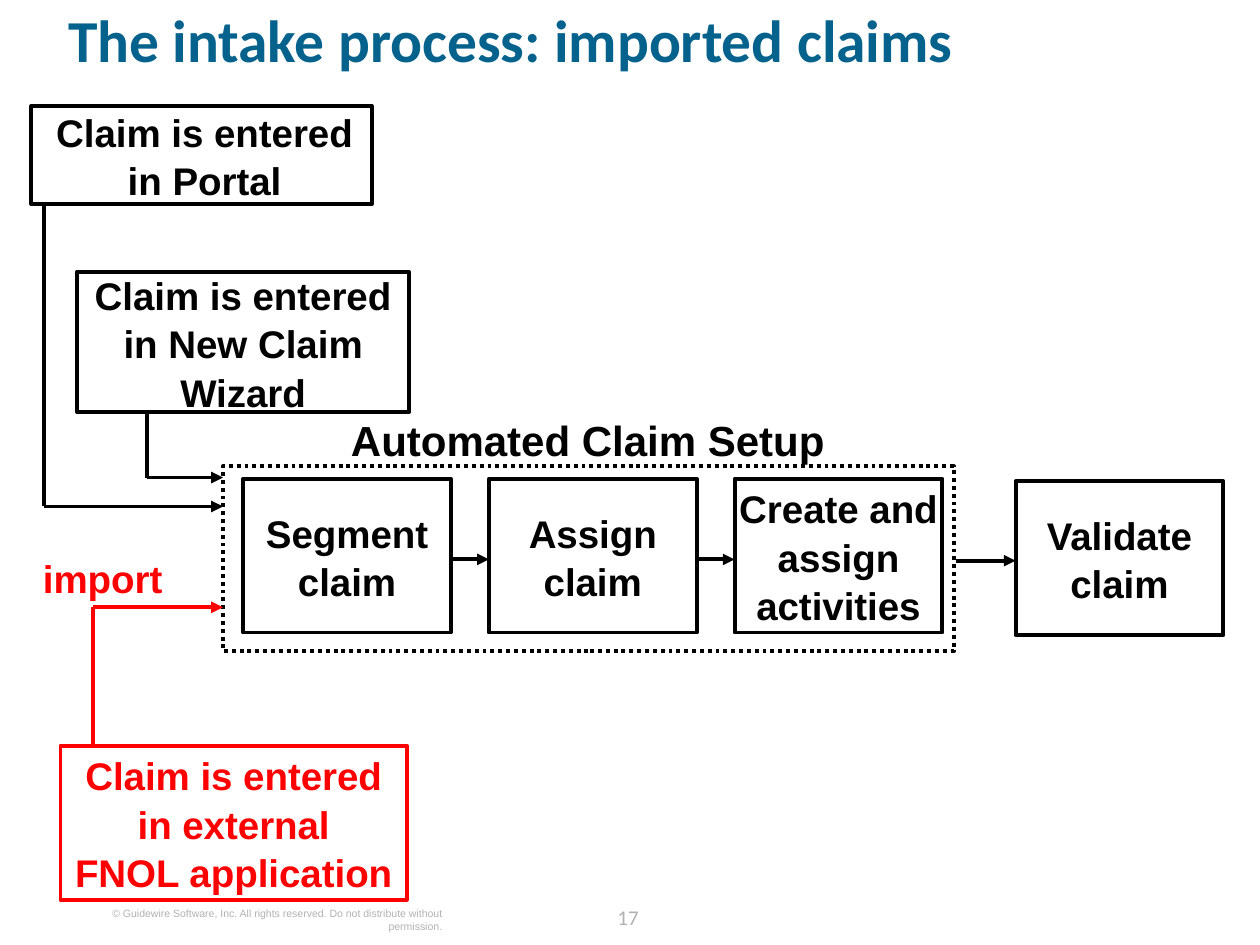
from lxml import etree
from pptx import Presentation
from pptx.dml.color import RGBColor
from pptx.enum import dml, shapes, text
from pptx.oxml.ns import qn
from pptx.util import Inches, Pt

BLACK = RGBColor(0x00, 0x00, 0x00)
WHITE = RGBColor(0xFF, 0xFF, 0xFF)
RED = RGBColor(0xFF, 0x00, 0x00)
BLUE = RGBColor(0x04, 0x62, 0x8C)
GRAY = RGBColor(0xB2, 0xB2, 0xB2)

LINE_WIDTH = Pt(2.25)
STEP_WIDTH, STEP_HEIGHT = 1.65, 1.22
CENTER = text.PP_ALIGN.CENTER


def write_text(frame, words, size=22, font="Arial", color=BLACK, bold=True,
               align=CENTER, anchor=text.MSO_ANCHOR.TOP, spacing=1.05, inset=0):
    frame.word_wrap = True
    frame.auto_size = text.MSO_AUTO_SIZE.NONE
    frame.vertical_anchor = anchor
    frame.margin_left = frame.margin_right = Inches(inset)
    frame.margin_top = frame.margin_bottom = 0
    paragraph = frame.paragraphs[0]
    paragraph.text = words
    paragraph.alignment = align
    paragraph.line_spacing = spacing
    paragraph.space_before = Pt(0)
    for run in paragraph.runs:
        run.font.size = Pt(size)
        run.font.name = font
        run.font.bold = bold
        run.font.color.rgb = color


def add_label(slide, words, left, top, width, height, **style):
    box = slide.shapes.add_textbox(
        Inches(left), Inches(top), Inches(width), Inches(height))
    write_text(box.text_frame, words, **style)


def add_box(slide, left, top, width, height, color=BLACK):
    box = slide.shapes.add_shape(
        shapes.MSO_SHAPE.RECTANGLE,
        Inches(left), Inches(top), Inches(width), Inches(height))
    box.shadow.inherit = False
    box.fill.solid()
    box.fill.fore_color.rgb = WHITE
    box.line.color.rgb = color
    box.line.width = LINE_WIDTH
    return box


def add_text_box(slide, words, left, top, width, height, color=BLACK, inset=0):
    box = add_box(slide, left, top, width, height, color)
    write_text(box.text_frame, words, color=color, inset=inset,
               anchor=text.MSO_ANCHOR.MIDDLE)
    return box


def add_line(slide, start, end, color=BLACK, arrow=False):
    points = [Inches(value) for value in (*start, *end)]
    line = slide.shapes.add_connector(shapes.MSO_CONNECTOR.STRAIGHT, *points)
    line.line.color.rgb = color
    line.line.width = LINE_WIDTH
    if arrow:
        etree.SubElement(line.line._get_or_add_ln(), qn("a:tailEnd"), type="triangle")
    etree.SubElement(line._element.spPr, qn("a:effectLst"))


def add_elbow(slide, start, end, color=BLACK):
    """Run vertically from start, then across to an arrowhead at end."""
    corner = (start[0], end[1])
    add_line(slide, start, corner, color)
    add_line(slide, corner, end, color, arrow=True)


def add_title(slide, left, top, width, height):
    title = slide.shapes.title
    title.left, title.top = Inches(left), Inches(top)
    title.width, title.height = Inches(width), Inches(height)
    write_text(title.text_frame, "The intake process: imported claims", size=34,
               font="Calibri", color=BLUE, align=text.PP_ALIGN.LEFT, spacing=0.8)


def add_automated_setup(slide, left, top, width, height):
    add_label(slide, "Automated Claim Setup", left + 0.71, top - 0.43, 4.37, 0.4,
              size=24)
    frame = add_box(slide, left, top, width, height)
    frame.fill.background()
    frame.line.dash_style = dml.MSO_LINE.ROUND_DOT

    pitch = 1.95
    arrow_y = top + 0.74
    steps = ["Segment\vclaim", "Assign\vclaim", "Create and assign activities"]
    for index, words in enumerate(steps):
        step_left = left + 0.16 + index * pitch
        add_text_box(slide, words, step_left, top + 0.1, STEP_WIDTH, STEP_HEIGHT)
        if index:
            add_line(slide, (step_left - pitch + STEP_WIDTH, arrow_y),
                     (step_left, arrow_y), arrow=True)


def add_validation(slide, left, top):
    add_text_box(slide, "Validate\vclaim", left, top, STEP_WIDTH, STEP_HEIGHT)
    add_line(slide, (left - 0.47, top + 0.63), (left, top + 0.63), arrow=True)


def add_sources(slide, target_x):
    """Place the three claim sources and lead each one to the setup frame."""
    portal = add_text_box(slide, "Claim is entered in Portal", 0.25, 0.84, 2.7, 0.78,
                          inset=0.1)
    portal.text_frame.margin_right = Inches(0.05)
    add_elbow(slide, (0.35, 1.62), (target_x, 4.02))

    add_text_box(slide, "Claim is entered in New Claim Wizard",
                 0.61, 2.16, 2.64, 1.11, inset=0.1)
    add_elbow(slide, (1.17, 3.27), (target_x, 3.79))

    add_text_box(slide, "Claim is entered in external\vFNOL application",
                 0.48, 5.92, 2.75, 1.22, color=RED, inset=0.1)
    add_elbow(slide, (0.74, 5.92), (target_x, 4.82), RED)
    add_label(slide, "import", 0.34, 4.39, 1.15, 0.37, color=RED,
              align=text.PP_ALIGN.LEFT)


def add_footer(slide, top):
    add_label(slide, "© Guidewire Software, Inc. All rights reserved. "
              "Do not distribute without permission.", 0.61, top + 0.06, 2.9, 0.22,
              size=6, color=GRAY, bold=False, align=text.PP_ALIGN.RIGHT)
    add_label(slide, "17", 4.7, top, 0.57, 0.25, size=12, font="Calibri",
              color=GRAY, bold=False, spacing=Pt(18))


def main():
    presentation = Presentation()
    presentation.slide_width = Inches(10)
    presentation.slide_height = Inches(7.5)
    slide = presentation.slides.add_slide(presentation.slide_layouts[5])
    setup_left = 1.77
    add_title(slide, 0.54, 0.13, 9.1, 0.81)
    add_automated_setup(slide, setup_left, 3.7, 5.8, 1.47)
    add_validation(slide, 8.06, 3.82)
    add_sources(slide, setup_left)
    add_footer(slide, 7.13)
    presentation.save("out.pptx")


if __name__ == "__main__":
    main()
